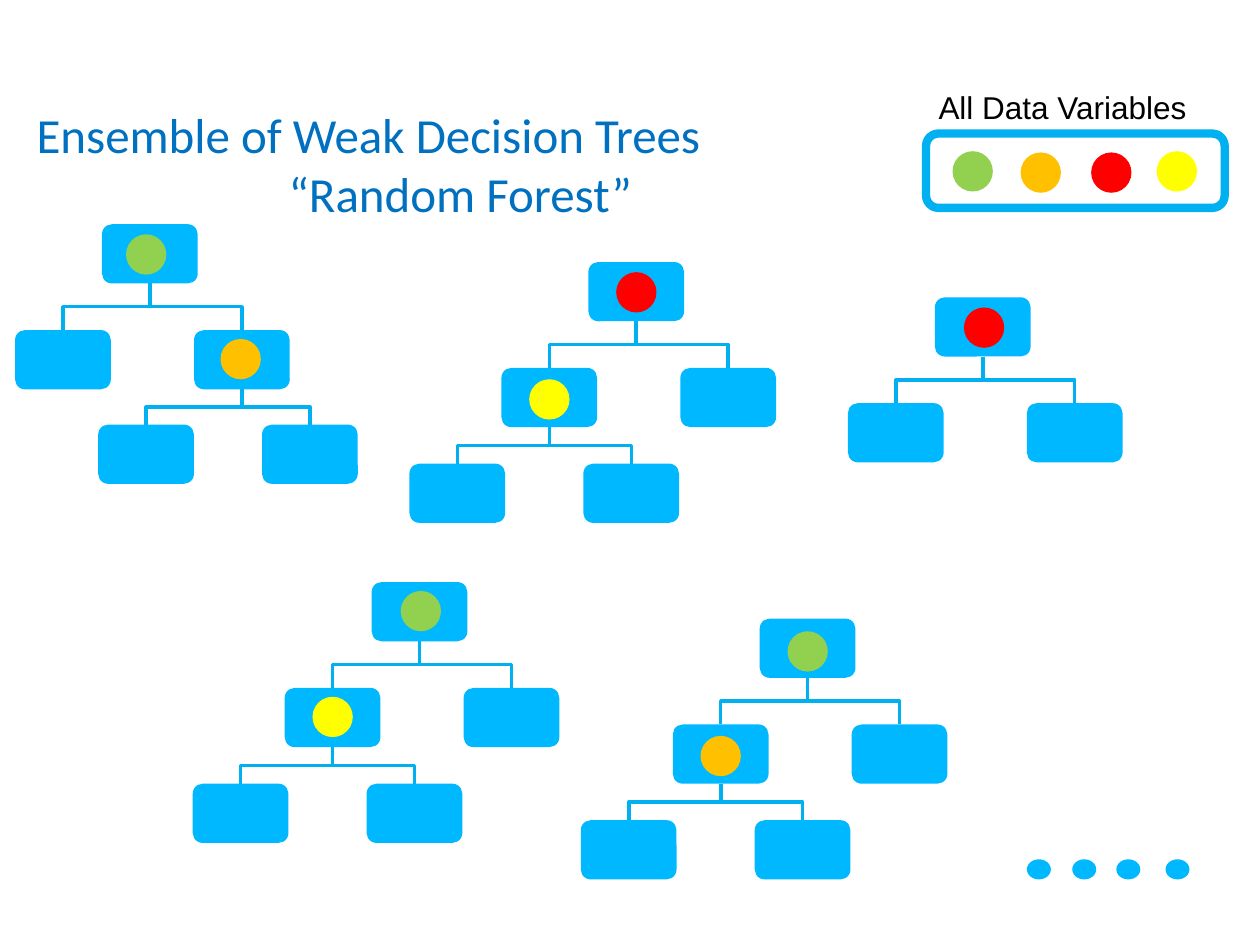
from pptx import Presentation
from pptx import util as u
from pptx.dml.color import RGBColor
from pptx.enum import shapes, text
from pptx.oxml import ns
from lxml import etree

SKY = RGBColor(0x00, 0xB8, 0xFF)
EDGE = RGBColor(0x00, 0xB0, 0xF0)
BLUE = RGBColor(0x00, 0x70, 0xC0)
BLACK = RGBColor(0x00, 0x00, 0x00)
GREEN = RGBColor(0x92, 0xD0, 0x50)
ORANGE = RGBColor(0xFF, 0xC0, 0x00)
RED = RGBColor(0xFF, 0x00, 0x00)
YELLOW = RGBColor(0xFF, 0xFF, 0x00)

NODE = (0.76, 0.47)
DOT = (0.32, 0.32)
KIDS = ((-0.69, 0.84), (0.73, 0.84))
LEAVES = ((-0.73, 0.76), (0.65, 0.76))
TREES = [
    (0.81, 1.78, 1, ((-0.76, 0.75), (0.54, 0.75))),
    (4.67, 2.08, 0, LEAVES),
    (7.42, 2.36, None, ()),
    (6.03, 4.91, 0, LEAVES),
    (2.95, 4.62, 0, LEAVES),
]
SPLITS = [
    (1, 1.86, GREEN), (6.25, 5.01, GREEN), (3.18, 4.69, GREEN),
    (4.89, 2.16, RED), (4.2, 3.01, YELLOW), (2.48, 5.53, YELLOW),
    (1.75, 2.69, ORANGE), (5.56, 5.84, ORANGE), (7.65, 2.44, RED),
]
LEGEND = [(7.56, 1.2, GREEN), (8.1, 1.21, ORANGE),
          (8.66, 1.21, RED), (9.18, 1.2, YELLOW)]


class Deck:
    def __init__(self):
        self.prs = Presentation()
        self.prs.slide_width = u.Inches(10)
        self.prs.slide_height = u.Inches(7.5)
        self.slide = self.prs.slides.add_slide(self.prs.slide_layouts[5])
        self.home = self.slide.shapes

    def shape(self, kind, x, y, size, fill=None, line=None, width=0):
        item = self.home.add_shape(
            kind, u.Inches(x), u.Inches(y), *map(u.Inches, size))
        item.shadow.inherit = False
        if fill is None:
            item.fill.background()
        else:
            item.fill.solid()
            item.fill.fore_color.rgb = fill
        if line is None:
            item.line.fill.background()
        else:
            item.line.color.rgb = line
            item.line.width = u.Pt(width)
        return item

    def node(self, x, y):
        return self.shape(shapes.MSO_SHAPE.ROUNDED_RECTANGLE, x, y, NODE, SKY)

    def dot(self, x, y, fill, size=DOT):
        return self.shape(shapes.MSO_SHAPE.OVAL, x, y, size, fill)

    def branch(self, top, low):
        x1, y1 = top.left + top.width // 2, top.top + top.height
        x2, y2 = low.left + low.width // 2, low.top
        link = self.home.add_connector(
            shapes.MSO_CONNECTOR.ELBOW, x1, y1, x2, y2)
        link.begin_connect(top, 2)
        link.end_connect(low, 0)
        drop, span = y2 - y1, abs(x2 - x1)
        link.left, link.top = (x1 + x2 - drop) // 2, (y1 + y2 - span) // 2
        link.width, link.height = drop, span
        right = x2 > x1
        frame = link._element.spPr.find(ns.qn("a:xfrm"))
        frame.set("rot", str((270 if right else 90) * 60000))
        frame.set("flipH", "1" if right else "0")
        link.line.color.rgb = EDGE
        link.line.width = u.Pt(2)
        etree.SubElement(link._element.spPr, ns.qn("a:effectLst"))

    def tree(self, x, y, pick, leaves):
        root = self.node(x, y)
        kids = [self.node(x + dx, y + dy) for dx, dy in KIDS]
        pairs = [(root, kid) for kid in kids]
        if pick is not None:
            kx, ky = KIDS[pick]
            pairs += [(kids[pick], self.node(x + kx + dx, y + ky + dy))
                      for dx, dy in leaves]
        for top, low in pairs:
            self.branch(top, low)

    def put_text(self, box, lines, size, font, color):
        frame = box.text_frame
        frame.word_wrap = False
        frame.auto_size = text.MSO_AUTO_SIZE.SHAPE_TO_FIT_TEXT
        frame.vertical_anchor = text.MSO_ANCHOR.TOP
        for i, (words, indent) in enumerate(lines):
            para = frame.add_paragraph() if i else frame.paragraphs[0]
            para.alignment = text.PP_ALIGN.LEFT
            if indent:
                para._p.get_or_add_pPr().set("marL", str(u.Inches(indent)))
            run = para.add_run()
            run.text = words
            run.font.size = u.Pt(size)
            run.font.name = font
            run.font.color.rgb = color

    def title(self, x, y, w, h, lines):
        box = self.slide.shapes.title
        box.left, box.top, box.width, box.height = map(u.Inches, (x, y, w, h))
        self.put_text(box, lines, 28, "Calibri", BLUE)

    def label(self, x, y, w, h, words):
        box = self.home.add_textbox(*map(u.Inches, (x, y, w, h)))
        self.put_text(box, [(words, 0)], 18, "Arial", BLACK)

    def legend(self):
        self.home = self.slide.shapes.add_group_shape().shapes
        self.shape(shapes.MSO_SHAPE.ROUNDED_RECTANGLE, 7.35, 1.06,
                   (2.37, 0.59), line=EDGE, width=4.75)
        for x, y, fill in LEGEND:
            self.dot(x, y, fill)
        self.home = self.slide.shapes


def main():
    deck = Deck()
    deck.title(0.19, 0.78, 5.52, 1.05,
               [("Ensemble of Weak Decision Trees", 0),
                ("“Random Forest”", 2)])
    for tree in TREES:
        deck.tree(*tree)
    for split in SPLITS:
        deck.dot(*split)
    for x in (8.15, 8.51, 8.86, 9.25):
        deck.dot(x, 6.82, SKY, (0.19, 0.16))
    deck.legend()
    deck.label(7.35, 0.65, 2.19, 0.4, "All Data Variables")
    deck.prs.save("out.pptx")


if __name__ == "__main__":
    main()
